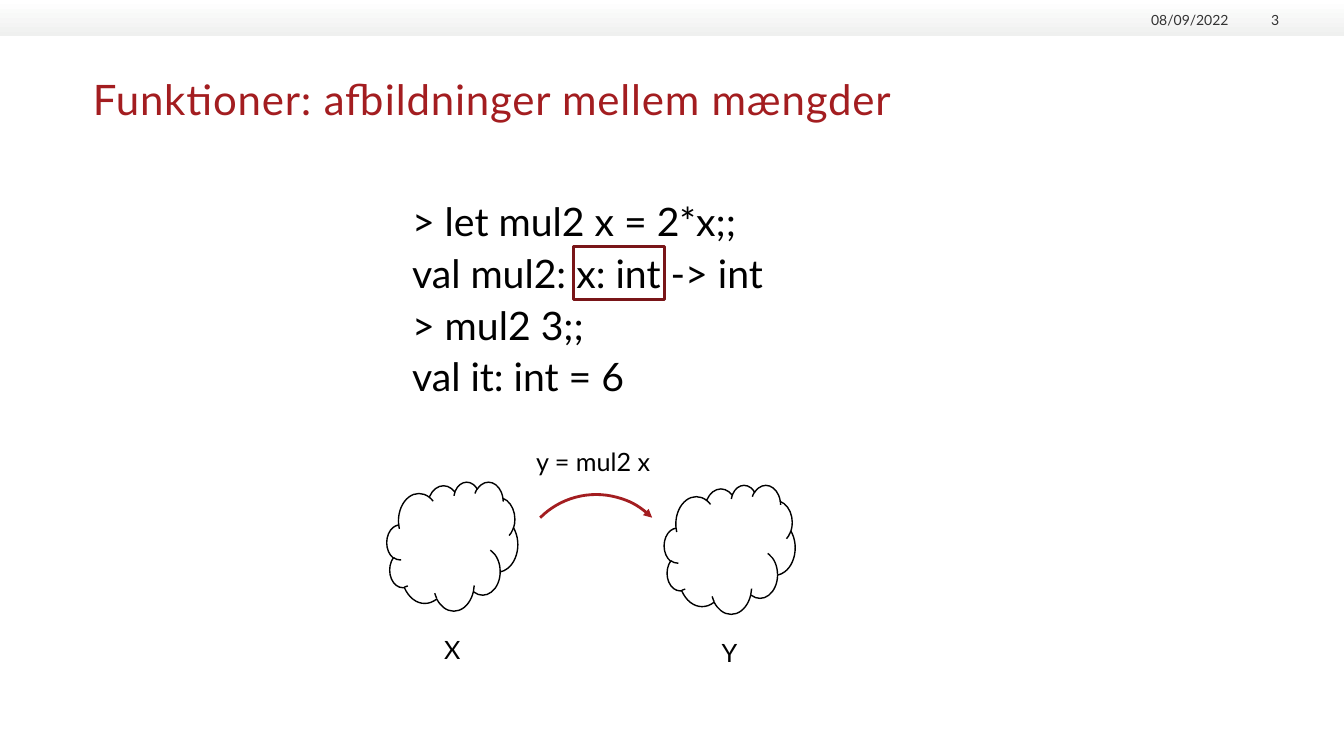
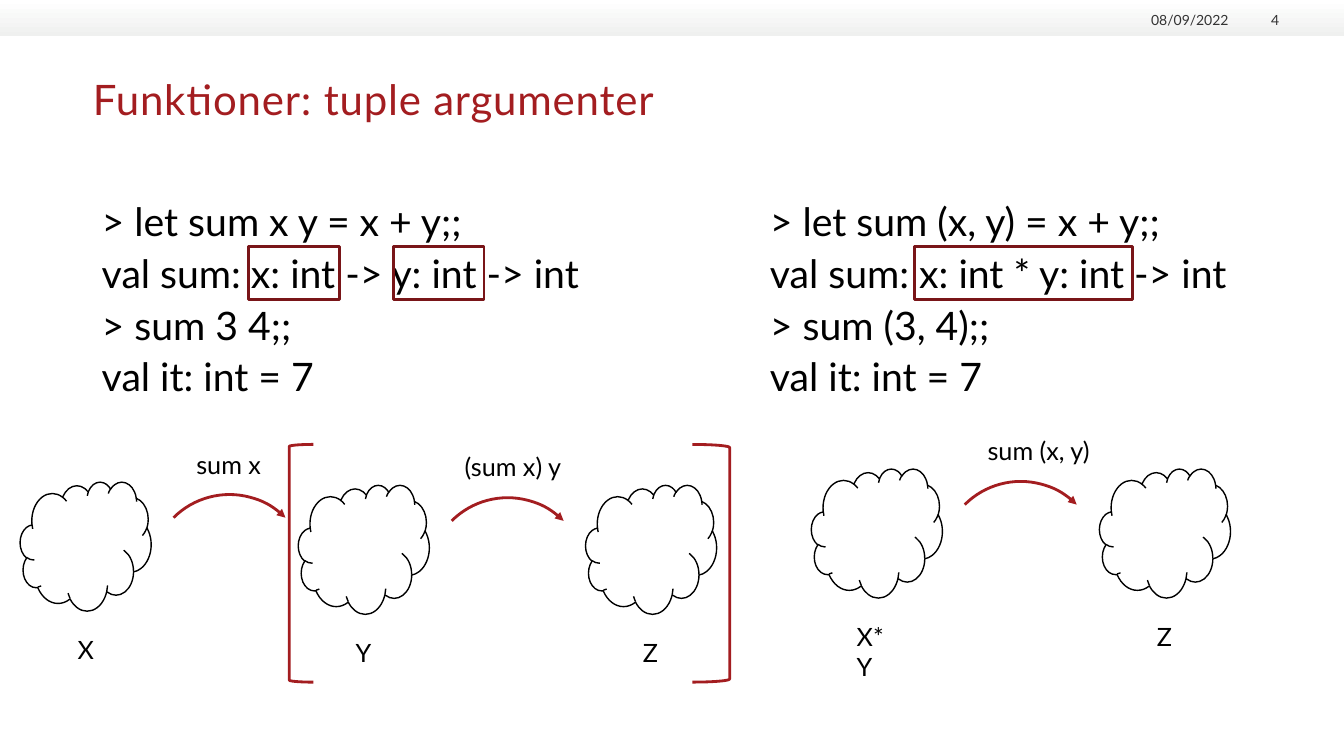
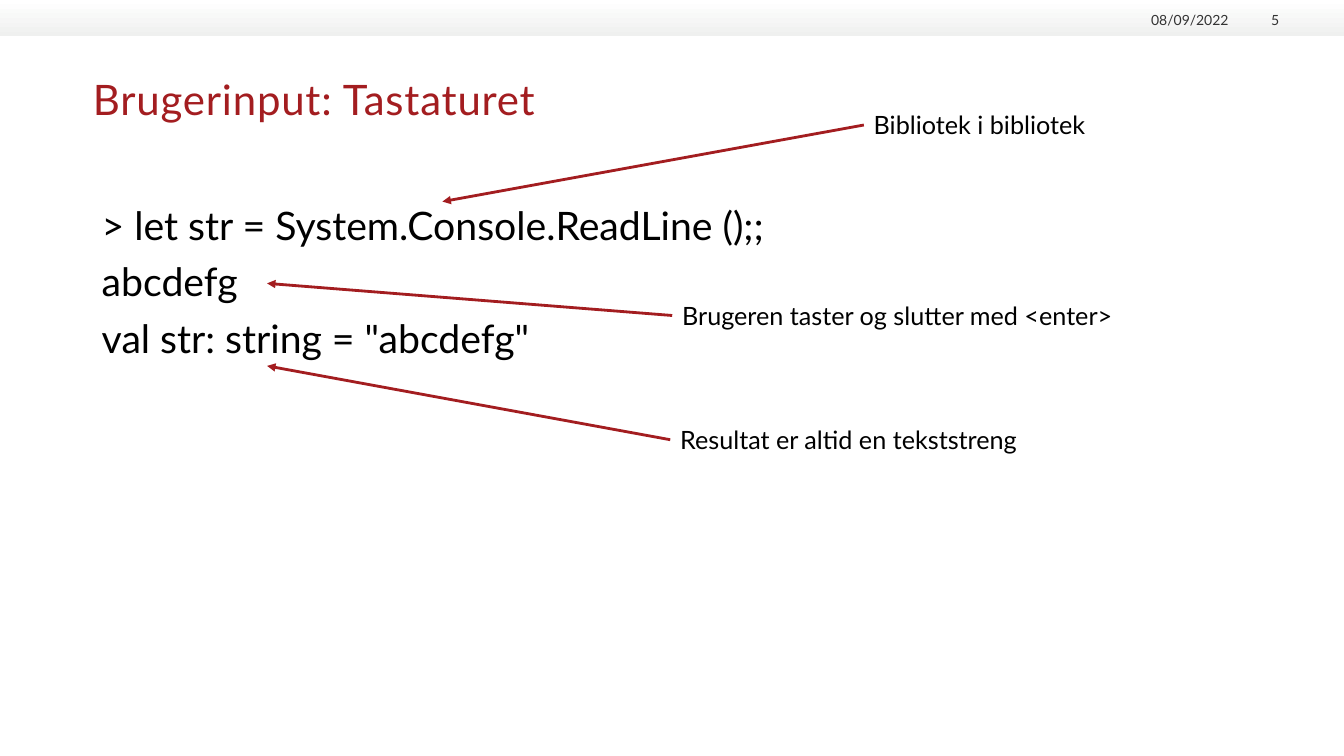
from lxml import etree
from pptx import Presentation
from pptx.dml.color import RGBColor
from pptx.enum.shapes import MSO_CONNECTOR, MSO_SHAPE
from pptx.enum.text import MSO_ANCHOR, MSO_AUTO_SIZE, PP_ALIGN
from pptx.oxml.ns import qn
from pptx.util import Cm, Pt

RED = RGBColor(0xA3, 0x1D, 0x20)
DARK = RGBColor(0x79, 0x15, 0x18)
BLACK = RGBColor(0, 0, 0)
GREY = RGBColor(0x33, 0x33, 0x33)
WHITE = RGBColor(0xFF, 0xFF, 0xFF)
PALE = RGBColor(0xEF, 0xF0, 0xEF)
FONT = "Lato"
WIDE, HIGH = 33.87, 19.05
RECT, CLOUD, ARC = MSO_SHAPE.RECTANGLE, MSO_SHAPE.CLOUD, MSO_SHAPE.ARC
OPEN, CLOSE = MSO_SHAPE.LEFT_BRACKET, MSO_SHAPE.RIGHT_BRACKET
LINE = MSO_CONNECTOR.STRAIGHT
TOP, BOTTOM = MSO_ANCHOR.TOP, MSO_ANCHOR.BOTTOM
FIXED, GROW = MSO_AUTO_SIZE.NONE, MSO_AUTO_SIZE.SHAPE_TO_FIT_TEXT
LEFT, RIGHT = PP_ALIGN.LEFT, PP_ALIGN.RIGHT


class Deck:
    """Holds the style and the current slide, and draws each kind of element."""

    def __init__(self):
        self.show = Presentation()
        self.show.slide_width, self.show.slide_height = Cm(WIDE), Cm(HIGH)

    def start(self, num, title, layout=1):
        self.slide = self.show.slides.add_slide(self.show.slide_layouts[layout])
        self.shapes = self.slide.shapes
        head, *slots = self.slide.placeholders
        self.slots = iter(slots)
        self.band()
        self.stamp("08/09/2022", 28.7, 2.26)
        self.stamp(str(num), 31.17, 1.07)
        self.place(head, 2.34, 1.85, 29.21, 2.84)
        self.put(head.text_frame, [title], 30, RED)
        self.strip(head.text_frame, TOP)
        run = head.text_frame.paragraphs[0].runs[0]
        run._r.get_or_add_rPr().set("spc", "60")

    def place(self, shape, x, y, w, h):
        shape.left, shape.top, shape.width, shape.height = Cm(x), Cm(y), Cm(w), Cm(h)

    def strip(self, frame, anchor):
        frame.margin_left = frame.margin_right = 0
        frame.margin_top = frame.margin_bottom = 0
        frame.vertical_anchor = anchor
        frame.auto_size = FIXED

    def font(self, para, size, color):
        para.font.name = FONT
        para.font.size = Pt(size)
        para.font.color.rgb = color

    def put(self, frame, lines, size, color, align=LEFT):
        frame.text = "\n".join(lines)
        for para in frame.paragraphs:
            para.alignment = align
            self.font(para, size, color)

    def band(self):
        band = self.shapes.add_shape(RECT, 0, 0, Cm(WIDE), Cm(0.91))
        band.shadow.inherit = False
        band.line.fill.background()
        band.fill.gradient()
        band.fill.gradient_angle = 270
        for stop, color, spot in zip(band.fill.gradient_stops, (WHITE, PALE), (0, 1)):
            stop.color.rgb = color
            stop.position = spot

    def stamp(self, text, x, w):
        box = self.shapes.add_textbox(Cm(x), Cm(0.23), Cm(w), Cm(0.48))
        self.put(box.text_frame, [text], 10, GREY, RIGHT)
        self.strip(box.text_frame, BOTTOM)

    def code(self, lines, x, w=14.6, h=5.38, space=0.8):
        body = next(self.slots)
        self.place(body, x, 5.08, w, h)
        frame = body.text_frame
        frame.text = "\n".join(lines)
        frame.auto_size = FIXED
        for row, para in enumerate(frame.paragraphs):
            props = para._p.get_or_add_pPr()
            props.set("marL", "0")
            props.set("indent", "0")
            etree.SubElement(props, qn("a:buNone"))
            para.line_spacing = space
            para.space_before = Pt(10 if row else 0)
            self.font(para, 28, BLACK)

    def shape(self, kind, x, y, w, h, color=RED, width=2):
        shape = self.shapes.add_shape(kind, Cm(x), Cm(y), Cm(w), Cm(h))
        shape.shadow.inherit = False
        shape.fill.background()
        shape.line.color.rgb = color
        shape.line.width = Pt(width)
        return shape

    def frame(self, x, w=2.29):
        self.shape(RECT, x, 6.22, w, 1.32, DARK)

    def label(self, text, x, y, w, wrap=False):
        box = self.shapes.add_textbox(Cm(x), Cm(y), Cm(w), Cm(1.02))
        box.text_frame.word_wrap = wrap
        box.text_frame.auto_size = GROW
        self.put(box.text_frame, [text], 18, BLACK)
        return box

    def cloud(self, name, x, y, w=0.89, wrap=False):
        self.shape(CLOUD, x, y, 3.3, 3.25, BLACK, 1)
        self.label(name, x + 1.64 - w / 2, y + 3.71, w, wrap)

    def tip(self, shape):
        etree.SubElement(shape.get_or_add_ln(), qn("a:tailEnd"), type="triangle")

    def leap(self, x, y):
        arc = self.shape(ARC, x + 3.28, y + 0.32, 3.99, 3.99)
        arc.rotation = 315
        self.tip(arc)

    def note(self, text, x, y, w, end):
        box = self.label(text, x, y, w, True)
        line = self.shapes.add_connector(LINE, Cm(x), Cm(y), *map(Cm, end))
        line.begin_connect(box, 1)
        line.line.color.rgb = RED
        line.line.width = Pt(2)
        self.tip(line)
        etree.SubElement(line._element.spPr, qn("a:effectLst"))


def main():
    deck = Deck()

    deck.start(3, "Funktioner: afbildninger mellem mængder")
    deck.code(["> let mul2 x = 2*x;;", "val mul2: x: int -> int",
               "> mul2 3;;", "val it: int = 6"], 10.13)
    deck.frame(14.45)
    deck.cloud("X", 9.75, 12.14)
    deck.leap(9.75, 12.14)
    deck.label("y = mul2 x", 13.26, 11.13, 3.51)
    deck.cloud("Y", 16.74, 12.22)

    deck.start(4, "Funktioner: tuple argumenter", 3)
    deck.code(["> let sum x y = x + y;;", "val sum: x: int -> y: int -> int",
               "> sum 3 4;;", "val it: int = 7"], 2.31)
    deck.code(["> let sum (x, y) = x + y;;", "val sum: x: int * y: int -> int",
               "> sum (3, 4);;", "val it: int = 7"], 19.15)
    deck.frame(6.27)
    deck.frame(9.91)
    deck.frame(23.04, 5.51)
    for name, x, y in (("X", 0.51, 12.14), ("Y", 7.52, 12.22),
                       ("Z", 14.76, 12.22), ("Z", 27.71, 11.81)):
        deck.cloud(name, x, y)
    deck.cloud("X*Y", 20.45, 11.81, 1.5, True)
    for x, y in ((0.51, 12.14), (7.52, 12.22), (20.45, 11.81)):
        deck.leap(x, y)
    deck.label("sum x", 4.7, 11.2, 2.16)
    deck.label("(sum x) y", 11.46, 11.25, 3.02)
    deck.label("sum (x, y)", 24.64, 10.85, 3.18)
    deck.shape(OPEN, 7.29, 11.2, 0.61, 5.99)
    deck.shape(CLOSE, 17.45, 11.2, 0.94, 5.99)

    deck.start(5, "Brugerinput: Tastaturet")
    deck.code(["> let str = System.Console.ReadLine ();;", "abcdefg",
               'val str: string = "abcdefg"'], 2.31, 17.65, 5.84, 0.9)
    deck.note("Brugeren taster og slutter med <enter>", 16.94, 7.44, 16.9, (6.73, 7.14))
    deck.note("Bibliotek i bibliotek", 21.77, 2.64, 6.93, (11.15, 5.08))
    deck.note("Resultat er altid en tekststreng", 16.89, 10.57, 9.83, (6.73, 9.22))

    deck.show.save("out.pptx")


if __name__ == "__main__":
    main()
